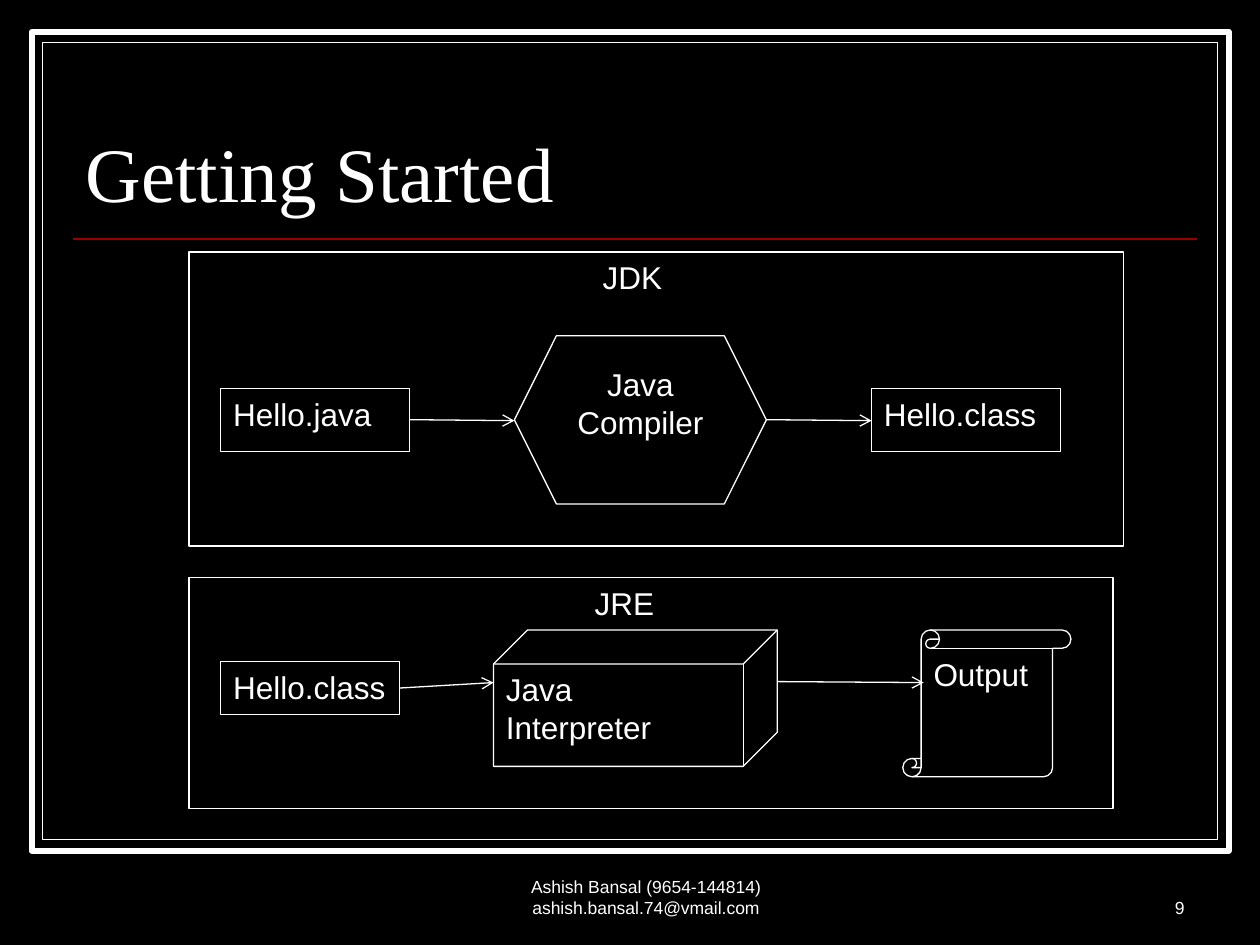
from dataclasses import dataclass

from lxml.etree import SubElement
from pptx import Presentation
from pptx.dml.color import RGBColor
from pptx.enum.shapes import MSO_CONNECTOR, MSO_SHAPE
from pptx.enum.text import MSO_ANCHOR, PP_ALIGN
from pptx.oxml.ns import qn
from pptx.util import Cm, Pt

BLACK = RGBColor(0x00, 0x00, 0x00)
WHITE = RGBColor(0xFF, 0xFF, 0xFF)
RED = RGBColor(0x99, 0x00, 0x00)


@dataclass
class Node:
    """An outlined shape with its label; lengths in centimetres."""
    label: str
    left: float
    top: float
    width: float
    height: float
    kind: MSO_SHAPE = MSO_SHAPE.RECTANGLE
    align: PP_ALIGN = PP_ALIGN.LEFT
    inset: float = 0.25
    weight: float = 0.75


@dataclass
class Caption:
    """A bottom-anchored text box; lengths in centimetres."""
    text: str
    left: float
    top: float
    width: float
    height: float
    size: int
    font: str = "Arial"
    align: PP_ALIGN = PP_ALIGN.LEFT
    spacing: float = 1.0


@dataclass
class Link:
    """A straight line between two points, in centimetres."""
    start: tuple[float, float]
    end: tuple[float, float]
    color: RGBColor = WHITE
    weight: float = 0.75
    arrow: bool = True


BORDERS = [
    Node("", 0.64, 0.64, 24.13, 16.51, weight=3.5),
    Node("", 0.86, 0.86, 23.69, 16.07),
]
RULE = Link((1.47, 4.82), (24.13, 4.82), RED, 1, arrow=False)
NODES = [
    Node("JDK", 3.81, 5.08, 18.84, 5.93, inset=8.34),
    Node("Hello.java", 4.45, 7.83, 3.81, 1.27),
    Node("Java\vCompiler", 10.37, 6.77, 5.08, 3.39, MSO_SHAPE.HEXAGON, PP_ALIGN.CENTER),
    Node("Hello.class", 17.57, 7.83, 3.81, 1.27),
    Node("JRE", 3.81, 11.64, 18.63, 4.66, inset=8.18),
    Node("Hello.class", 4.45, 13.34, 3.6, 1.06),
    Node("Java\vInterpreter", 9.95, 12.7, 5.72, 2.75, MSO_SHAPE.CUBE),
    Node("Output", 18.2, 12.7, 3.39, 2.96, MSO_SHAPE.VERTICAL_SCROLL),
]
LINKS = [
    Link((8.26, 8.46), (10.37, 8.48)),
    Link((15.45, 8.46), (17.57, 8.48)),
    Link((8.05, 13.87), (9.95, 13.76)),
    Link((15.67, 13.74), (18.62, 13.76)),
]
CAPTIONS = [
    Caption("Getting Started", 1.48, 1.32, 22.66, 3.18, 44, "Times New Roman", spacing=0.8),
    Caption("9", 18.84, 17.36, 5.29, 1.27, 10, align=PP_ALIGN.RIGHT),
    Caption("Ashish Bansal (9654-144814) ashish.bansal.74@vmail.com",
            9, 17.36, 8.04, 1.27, 10, align=PP_ALIGN.CENTER),
]


def write_text(frame, text: str, size: int, font: str, align: PP_ALIGN) -> None:
    """Fill a text frame with one white paragraph."""
    frame.word_wrap = True
    frame.text = text
    paragraph = frame.paragraphs[0]
    paragraph.alignment = align
    for span in paragraph.runs:
        span.font.size = Pt(size)
        span.font.name = font
        span.font.color.rgb = WHITE


def draw_node(page, node: Node) -> None:
    """Draw an outlined shape and its label."""
    box = page.shapes.add_shape(node.kind, Cm(node.left), Cm(node.top),
                                Cm(node.width), Cm(node.height))
    box.shadow.inherit = False
    box.fill.background()
    box.line.color.rgb = WHITE
    box.line.width = Pt(node.weight)
    if node.label:
        box.text_frame.vertical_anchor = MSO_ANCHOR.TOP
        box.text_frame.margin_left = Cm(node.inset)
        write_text(box.text_frame, node.label, 18, "Arial", node.align)


def draw_link(page, link: Link) -> None:
    """Draw a line, with an open arrowhead at its end if wanted."""
    line = page.shapes.add_connector(MSO_CONNECTOR.STRAIGHT,
                                     Cm(link.start[0]), Cm(link.start[1]),
                                     Cm(link.end[0]), Cm(link.end[1]))
    line.line.color.rgb = link.color
    line.line.width = Pt(link.weight)
    properties = line._element.spPr
    if link.arrow:
        SubElement(properties.find(qn("a:ln")), qn("a:tailEnd"), type="arrow")
    SubElement(properties, qn("a:effectLst"))


def draw_caption(page, caption: Caption) -> None:
    """Draw a text box whose text sits at the bottom."""
    box = page.shapes.add_textbox(Cm(caption.left), Cm(caption.top),
                                  Cm(caption.width), Cm(caption.height))
    frame = box.text_frame
    frame.vertical_anchor = MSO_ANCHOR.BOTTOM
    write_text(frame, caption.text, caption.size, caption.font, caption.align)
    frame.paragraphs[0].line_spacing = caption.spacing


def main() -> None:
    """Build the slide and save it."""
    deck = Presentation()
    deck.slide_width, deck.slide_height = Cm(25.4), Cm(19.05)
    page = deck.slides.add_slide(deck.slide_layouts[6])
    page.background.fill.solid()
    page.background.fill.fore_color.rgb = BLACK
    for node in BORDERS + NODES:
        draw_node(page, node)
    for link in [RULE] + LINKS:
        draw_link(page, link)
    for caption in CAPTIONS:
        draw_caption(page, caption)
    deck.save("out.pptx")


main()
